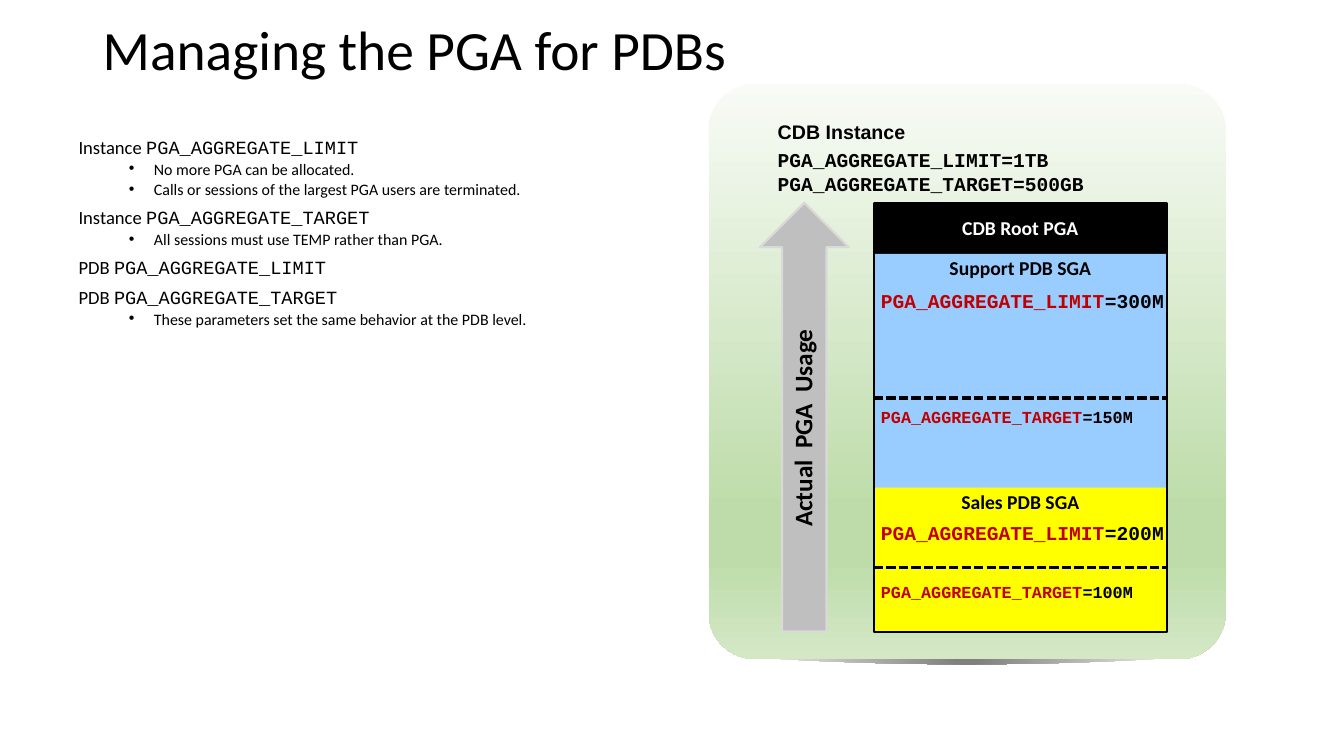
import pptx
import pptx.dml.color
import pptx.enum.dml
import pptx.enum.shapes
import pptx.enum.text
import pptx.oxml
import pptx.oxml.ns
import pptx.util
from lxml import etree

Cm, Pt = pptx.util.Cm, pptx.util.Pt
RGBColor = pptx.dml.color.RGBColor
SHAPES = pptx.enum.shapes.MSO_SHAPE
ANCHOR = pptx.enum.text.MSO_ANCHOR
CENTER = pptx.enum.text.PP_ALIGN.CENTER
qn = pptx.oxml.ns.qn

BLACK = RGBColor(0x00, 0x00, 0x00)
WHITE = RGBColor(0xFF, 0xFF, 0xFF)
RED = RGBColor(0xC0, 0x00, 0x00)
BLUE = RGBColor(0x99, 0xCC, 0xFF)
YELLOW = RGBColor(0xFF, 0xFF, 0x00)
GRAY = RGBColor(0xBF, 0xBF, 0xBF)
LIGHT_GRAY = RGBColor(0xD9, 0xD9, 0xD9)
SANS, MONO = "Calibri", "Courier New"
LIMIT, TARGET = "PGA_AGGREGATE_LIMIT", "PGA_AGGREGATE_TARGET"


def add_runs(para, size, bold, *runs):
    """Add (text, font name, colour) runs of one size and weight."""
    for text, font_name, color in runs:
        span = para.add_run()
        span.text = text
        span.font.name = font_name
        span.font.size = Pt(size)
        span.font.bold = bold
        span.font.color.rgb = color


def set_gradient(shape, stops, direction):
    """Fill with (percent, hex colour) stops along a direction element."""
    shape.shadow.inherit = False
    shape.line.fill.background()
    shape.fill.gradient()
    gradient = shape.element.spPr.find(qn("a:gradFill"))
    for child in list(gradient):
        gradient.remove(child)
    stop_list = etree.SubElement(gradient, qn("a:gsLst"))
    for percent, color in stops:
        stop = etree.SubElement(stop_list, qn("a:gs"), pos=str(percent * 1000))
        etree.SubElement(stop, qn("a:srgbClr"), val=color)
    gradient.append(pptx.oxml.parse_xml(direction))


deck = pptx.Presentation()
deck.slide_width, deck.slide_height = Cm(33.87), Cm(19.05)
page = deck.slides.add_slide(deck.slide_layouts[6])
shapes = page.shapes
DRAWING = pptx.oxml.ns.nsdecls("a")

# Shadow below the instance panel
curve = []
for step in range(21):
    offset = 1 - step / 10
    curve.append((Cm(24.37 + 6.21 * offset), Cm(16.51 + 0.23 * (1 - offset ** 2))))
builder = shapes.build_freeform(*curve[0])
builder.add_line_segments(curve[1:], close=True)
set_gradient(builder.convert_to_shape(), [(4, "808080"), (100, "FFFFFF")],
             f'<a:path {DRAWING} path="circle">'
             '<a:fillToRect l="50000" t="50000" r="50000" b="50000"/></a:path>')

# Instance panel
panel = shapes.add_shape(SHAPES.ROUNDED_RECTANGLE,
                         Cm(17.86), Cm(2.11), Cm(13.03), Cm(14.5))
panel.adjustments[0] = 0.09
set_gradient(panel, [(0, "F8FBF6"), (74, "BEDCAA"), (83, "BEDCAA"), (100, "D4E8C6")],
             f'<a:lin {DRAWING} ang="5400000" scaled="0"/>')

# Title
title = shapes.add_textbox(Cm(2.34), Cm(0.3), Cm(29.21), Cm(2.03))
title.text_frame.word_wrap = True
title.text_frame.vertical_anchor = ANCHOR.MIDDLE
para = title.text_frame.paragraphs[0]
para.line_spacing = 0.9
add_runs(para, 39.6, False, ("Managing the PGA for PDBs", SANS, BLACK))

# Parameter list: scope, parameter, bullets
topics = [
    ("Instance ", LIMIT, ["No more PGA can be allocated.",
                          "Calls or sessions of the largest PGA users are terminated."]),
    ("Instance ", TARGET, ["All sessions must use TEMP rather than PGA."]),
    ("PDB ", LIMIT, []),
    ("PDB ", TARGET, ["These parameters set the same behavior at the PDB level."]),
]
body = shapes.add_textbox(Cm(1.73), Cm(3.45), Cm(15.82), Cm(5.08))
body.text_frame.word_wrap = True
for number, (scope, parameter, bullets) in enumerate(topics):
    if number == 0:
        para = body.text_frame.paragraphs[0]
    else:
        para = body.text_frame.add_paragraph()
        para.space_before = Pt(10)
    para.line_spacing = 0.7
    add_runs(para, 13.3, False, (scope, SANS, BLACK), (parameter, MONO, BLACK))
    for bullet in bullets:
        para = body.text_frame.add_paragraph()
        para.level = 1
        para.line_spacing = 0.7
        para.space_before = Pt(5)
        properties = para._p.get_or_add_pPr()
        properties.set("marL", str(Cm(1.9)))
        properties.set("indent", str(Cm(-0.63)))
        etree.SubElement(properties, qn("a:buFont"), typeface="Arial")
        etree.SubElement(properties, qn("a:buChar"), char="•")
        add_runs(para, 11.4, False, (bullet, SANS, BLACK))

# Memory stack, from the top down
STACK_LEFT, STACK_TOP, STACK_WIDTH = 22.02, 5.13, 7.39
layers = [
    ("CDB Root PGA", 1.27, BLACK, WHITE, ANCHOR.MIDDLE),
    ("Support PDB SGA", 5.89, BLUE, BLACK, ANCHOR.TOP),
    ("Sales PDB SGA", 3.63, YELLOW, BLACK, ANCHOR.TOP),
]
top = STACK_TOP
for name, height, fill, color, anchor in layers:
    layer = shapes.add_shape(SHAPES.RECTANGLE, Cm(STACK_LEFT), Cm(top),
                             Cm(STACK_WIDTH), Cm(height))
    layer.shadow.inherit = False
    layer.fill.solid()
    layer.fill.fore_color.rgb = fill
    layer.line.fill.background()
    layer.text_frame.vertical_anchor = anchor
    para = layer.text_frame.paragraphs[0]
    para.alignment = CENTER
    para.line_spacing = 0.9
    add_runs(para, 14, True, (name, SANS, color))
    top += height

frame = shapes.add_shape(SHAPES.RECTANGLE, Cm(STACK_LEFT), Cm(STACK_TOP),
                         Cm(STACK_WIDTH), Cm(top - STACK_TOP))
frame.shadow.inherit = False
frame.fill.background()
frame.line.color.rgb = BLACK
frame.line.width = Pt(1.5)

# Dashed target lines
for y in (10.03, 14.3):
    divider = shapes.add_connector(pptx.enum.shapes.MSO_CONNECTOR.STRAIGHT, Cm(STACK_LEFT),
                                   Cm(y), Cm(STACK_LEFT + STACK_WIDTH), Cm(y))
    divider.line.color.rgb = BLACK
    divider.line.width = Pt(2.25)
    divider.line.dash_style = pptx.enum.dml.MSO_LINE.SQUARE_DOT
    etree.SubElement(divider.element.spPr, qn("a:effectLst"))

# Usage arrow
arrow = shapes.add_shape(SHAPES.UP_ARROW, Cm(19.15), Cm(5.11), Cm(2.24), Cm(10.8))
arrow.shadow.inherit = False
arrow.fill.solid()
arrow.fill.fore_color.rgb = GRAY
arrow.line.color.rgb = LIGHT_GRAY
arrow.line.width = Pt(1.5)
arrow.text_frame.vertical_anchor = ANCHOR.MIDDLE
arrow.element.txBody.find(qn("a:bodyPr")).set("vert", "vert270")
para = arrow.text_frame.paragraphs[0]
para.alignment = CENTER
para.line_spacing = 0.9
add_runs(para, 18, True, ("Actual  PGA  Usage", SANS, BLACK))

# Instance heading and settings
heading = shapes.add_textbox(Cm(19.35), Cm(2.9), Cm(4.6), Cm(0.86))
heading.text_frame.word_wrap = True
add_runs(heading.text_frame.paragraphs[0], 14, True, ("CDB Instance", "Arial", BLACK))
settings = shapes.add_textbox(Cm(19.35), Cm(3.61), Cm(8.28), Cm(1.45))
settings.text_frame.word_wrap = False
add_runs(settings.text_frame.paragraphs[0], 14, True, (LIMIT + "=1TB", MONO, BLACK))
add_runs(settings.text_frame.add_paragraph(), 14, True, (TARGET + "=500GB", MONO, BLACK))

# PDB settings: middle height, parameter, value, size
for middle, parameter, value, size in [(7.57, LIMIT, "=300M", 14), (10.5, TARGET, "=150M", 12),
                                       (13.42, LIMIT, "=200M", 14), (14.92, TARGET, "=100M", 12)]:
    label = shapes.add_textbox(Cm(21.95), Cm(middle - 0.43), Cm(7.67), Cm(0.86))
    label.text_frame.word_wrap = True
    label.text_frame.vertical_anchor = ANCHOR.MIDDLE
    add_runs(label.text_frame.paragraphs[0], size, True,
             (parameter, MONO, RED), (value, MONO, BLACK))

deck.save("out.pptx")
